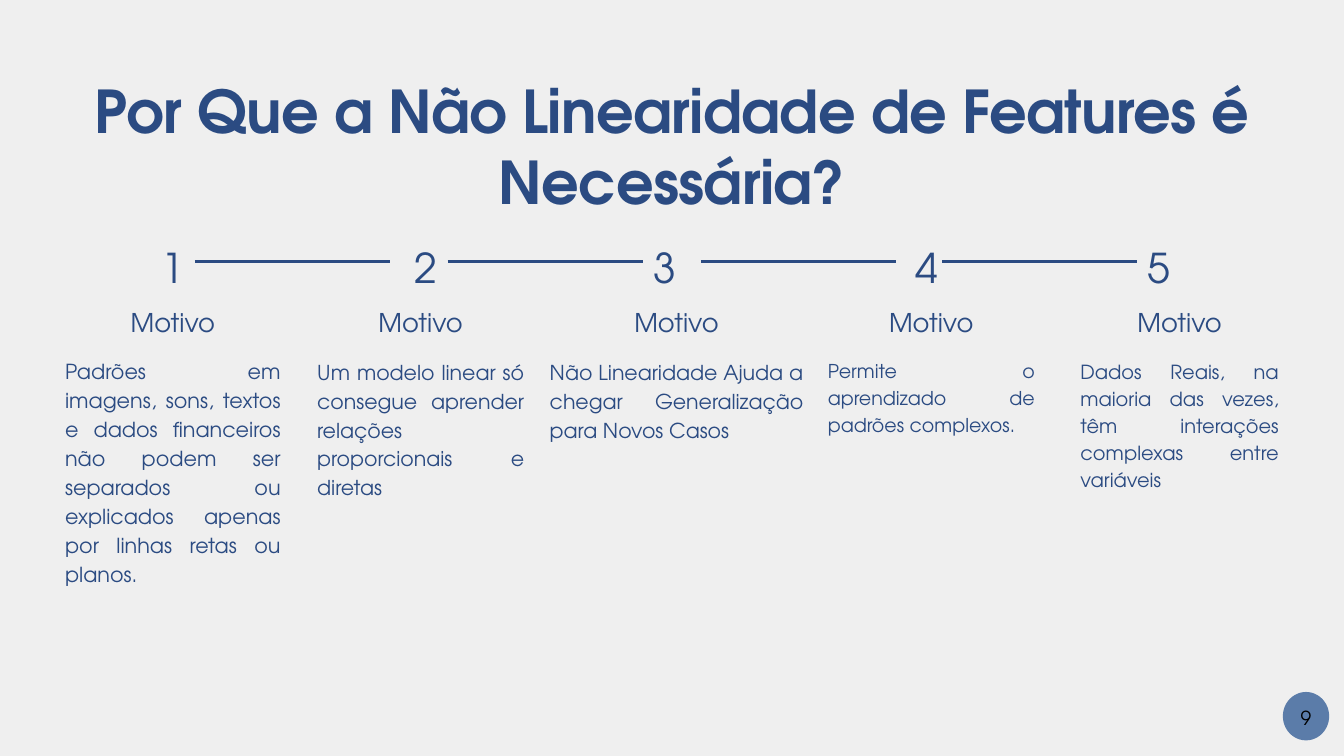
from lxml import etree
from pptx import Presentation, util as u
from pptx.dml.color import RGBColor
from pptx.enum import shapes, text
from pptx.oxml.ns import qn

NAVY = "2B4B82"
MID, JUST = text.PP_ALIGN.CENTER, text.PP_ALIGN.JUSTIFY


def paint(fmt, hue):
    fmt.solid()
    fmt.fore_color.rgb = RGBColor.from_string(hue)


def write(shape, words, size, lead, align=MID, hue=NAVY, bold=False,
          anchor=text.MSO_ANCHOR.TOP):
    frame = shape.text_frame
    frame.word_wrap = True
    frame.auto_size = text.MSO_AUTO_SIZE.NONE
    frame.vertical_anchor = anchor
    frame.margin_left = frame.margin_right = u.Cm(0)
    frame.margin_top = frame.margin_bottom = u.Cm(0)
    para = frame.paragraphs[0]
    para.alignment = align
    para.line_spacing = u.Pt(lead)
    run = para.add_run()
    run.text = words
    run.font.name = "TeX Gyre Adventor"
    run.font.size = u.Pt(size)
    run.font.bold = bold
    paint(run.font.fill, hue)
    return run


deck = Presentation()
deck.slide_width, deck.slide_height = u.Cm(50.8), u.Cm(28.58)
slide = deck.slides.add_slide(deck.slide_layouts[5])
paint(slide.background.fill, "EFEFEF")
items = slide.shapes

title = items.title
title.left, title.top = u.Cm(0), u.Cm(2.82)
title.width, title.height = u.Cm(50.8), u.Cm(5.36)
run = write(title, "Por Que a Não Linearidade de Features é Necessária?",
            63.2, 75.9, bold=True)
run.font._element.set("spc", "-70")

reasons = [
    (2.46, 8.15, 13.41, 6.48, 5.69, 22.2, 31.1,
     "Padrões em imagens, sons, textos e dados financeiros não podem ser "
     "separados ou explicados apenas por linhas retas ou planos."),
    (11.99, 7.82, 13.46, 4.29, 15.24, 22, 30.8,
     "Um modelo linear só consegue aprender relações proporcionais e diretas"),
    (20.78, 9.58, 13.46, 3.2, 24.31, 22, 30.8,
     "Não Linearidade Ajuda a chegar Generalização para Novos Casos"),
    (31.29, 7.82, 13.46, 1.96, 34.19, 20.4, 28.6,
     "Permite o aprendizado de padrões complexos."),
    (40.84, 7.49, 13.46, 4.98, 42.98, 20.8, 29.1,
     "Dados Reais, na maioria das vezes, têm interações complexas entre "
     "variáveis"),
]
marks = []
for num, (left, wide, top, high, spot, size, lead, words) in enumerate(reasons, 1):
    head = items.add_textbox(u.Cm(left), u.Cm(11.4), u.Cm(wide), u.Cm(1.3))
    write(head, "Motivo", 27.6, 38.7)
    body = items.add_textbox(u.Cm(left), u.Cm(top), u.Cm(wide), u.Cm(high))
    write(body, words, size, lead, align=JUST)
    mark = items.add_textbox(u.Cm(spot), u.Cm(8.84), u.Cm(1.68), u.Cm(2.12))
    write(mark, str(num), 44, 61.6)
    marks.append(mark)

links = [(7.37, marks[0], None), (16.94, marks[1], marks[2]),
         (26.49, None, None), (35.61, None, marks[4])]
for left, start, end in links:
    line = items.add_connector(shapes.MSO_CONNECTOR.STRAIGHT, u.Cm(left),
                               u.Cm(9.9), u.Cm(left + 7.36), u.Cm(9.9))
    if start:
        line.begin_connect(start, 3)
    if end:
        line.end_connect(end, 1)
    line.line.width = u.Pt(3)
    paint(line.line.fill, NAVY)
    etree.SubElement(line._element.spPr, qn("a:effectLst"))

badge = items.add_shape(shapes.MSO_SHAPE.OVAL, u.Cm(48.49), u.Cm(26.16),
                        u.Cm(1.75), u.Cm(1.83))
badge.shadow.inherit = False
paint(badge.fill, "5B7CA9")
badge.line.fill.background()
write(badge, "9", 20.7, 29, hue="000000", anchor=text.MSO_ANCHOR.MIDDLE)

deck.save("out.pptx")
